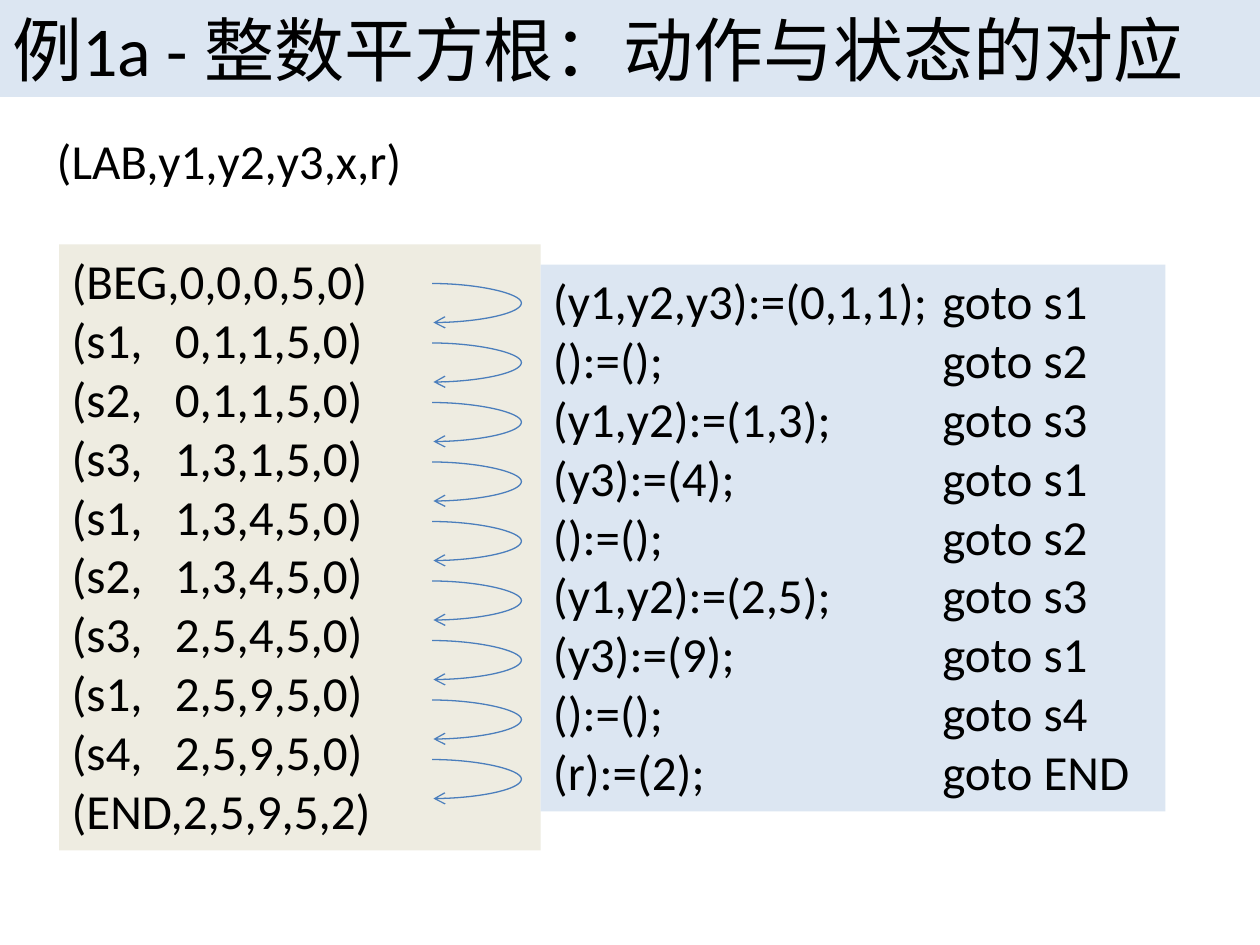
from dataclasses import dataclass
from lxml import etree
from pptx import Presentation
from pptx import util as u
from pptx.dml import color
from pptx.enum import shapes, text
from pptx.oxml import ns


@dataclass(frozen=True)
class Theme:
    font: str = "Calibri"
    head: int = 40
    body: int = 28
    ink: str = "000000"
    blue: str = "DCE6F2"
    sand: str = "EEECE1"
    line: str = "4B7EBC"


THEME = Theme()
TITLE = "例1a - 整数平方根：动作与状态的对应"
STATES = [
    "(BEG,0,0,0,5,0)", "(s1,\t0,1,1,5,0)", "(s2,\t0,1,1,5,0)",
    "(s3,\t1,3,1,5,0)", "(s1,\t1,3,4,5,0)", "(s2,\t1,3,4,5,0)",
    "(s3,\t2,5,4,5,0)", "(s1,\t2,5,9,5,0)", "(s4,\t2,5,9,5,0)",
    "(END,2,5,9,5,2)",
]
MOVES = [
    ("(y1,y2,y3):=(0,1,1);", "s1"), ("():=();", "s2"),
    ("(y1,y2):=(1,3);", "s3"), ("(y3):=(4);", "s1"),
    ("():=();", "s2"), ("(y1,y2):=(2,5);", "s3"),
    ("(y3):=(9);", "s1"), ("():=();", "s4"), ("(r):=(2);", "END"),
]


def rgb(code):
    return color.RGBColor.from_string(code)


def add(parent, tag, **attrs):
    return etree.SubElement(parent, ns.qn(tag), attrs)


def panel(slide, box, lines, size, fill=None, tab=None, inset=0.1):
    shape = slide.shapes.add_textbox(*map(u.Inches, box))
    if fill:
        shape.fill.solid()
        shape.fill.fore_color.rgb = rgb(fill)
    frame = shape.text_frame
    frame.word_wrap = True
    frame.auto_size = text.MSO_AUTO_SIZE.SHAPE_TO_FIT_TEXT
    frame.margin_left = u.Inches(inset)
    frame.text = "\n".join(lines)
    for para in frame.paragraphs:
        if tab:
            stops = add(para._p.get_or_add_pPr(), "a:tabLst")
            add(stops, "a:tab", pos=str(u.Inches(tab)), algn="l")
        para.font.name = THEME.font
        para.font.size = u.Pt(size)
        para.font.color.rgb = rgb(THEME.ink)


def arrow(slide, left, top, width, height, bulge):
    link = slide.shapes.add_connector(
        shapes.MSO_CONNECTOR.CURVE,
        *map(u.Inches, (left, top, left + width, top + height)))
    link.line.color.rgb = rgb(THEME.line)
    link.line.width = u.Pt(0.75)
    add(link.line._get_or_add_ln(), "a:tailEnd", type="arrow")
    props = link._element.spPr
    add(props, "a:effectLst")
    guides = props.find(ns.qn("a:prstGeom")).find(ns.qn("a:avLst"))
    ratio = round(bulge / width * 100000)
    add(guides, "a:gd", name="adj1", fmla=f"val {ratio}")


def arrows(slide, box, count):
    left, top, width, height = box
    pitch = height / count
    for row in range(count):
        arrow(slide, left, top + row * pitch, 0.01, 0.31, width)


def build():
    deck = Presentation()
    deck.slide_width, deck.slide_height = u.Inches(10), u.Inches(7.5)
    slide = deck.slides.add_slide(deck.slide_layouts[6])
    panel(slide, (0, 0, 10, 0.77), [TITLE], THEME.head, THEME.blue)
    panel(slide, (0, 0.99, 10, 0.57), ["(LAB,y1,y2,y3,x,r)"],
          THEME.body, inset=0.45)
    panel(slide, (0.47, 1.94, 3.82, 4.81), STATES, THEME.body,
          THEME.sand, tab=0.82)
    moves = [f"{act}\tgoto {goal}" for act, goal in MOVES]
    panel(slide, (4.29, 2.1, 4.96, 4.34), moves, THEME.body,
          THEME.blue, tab=3.09)
    arrows(slide, (3.43, 2.25, 0.72, 4.25), len(MOVES))
    deck.save("out.pptx")


if __name__ == "__main__":
    build()
